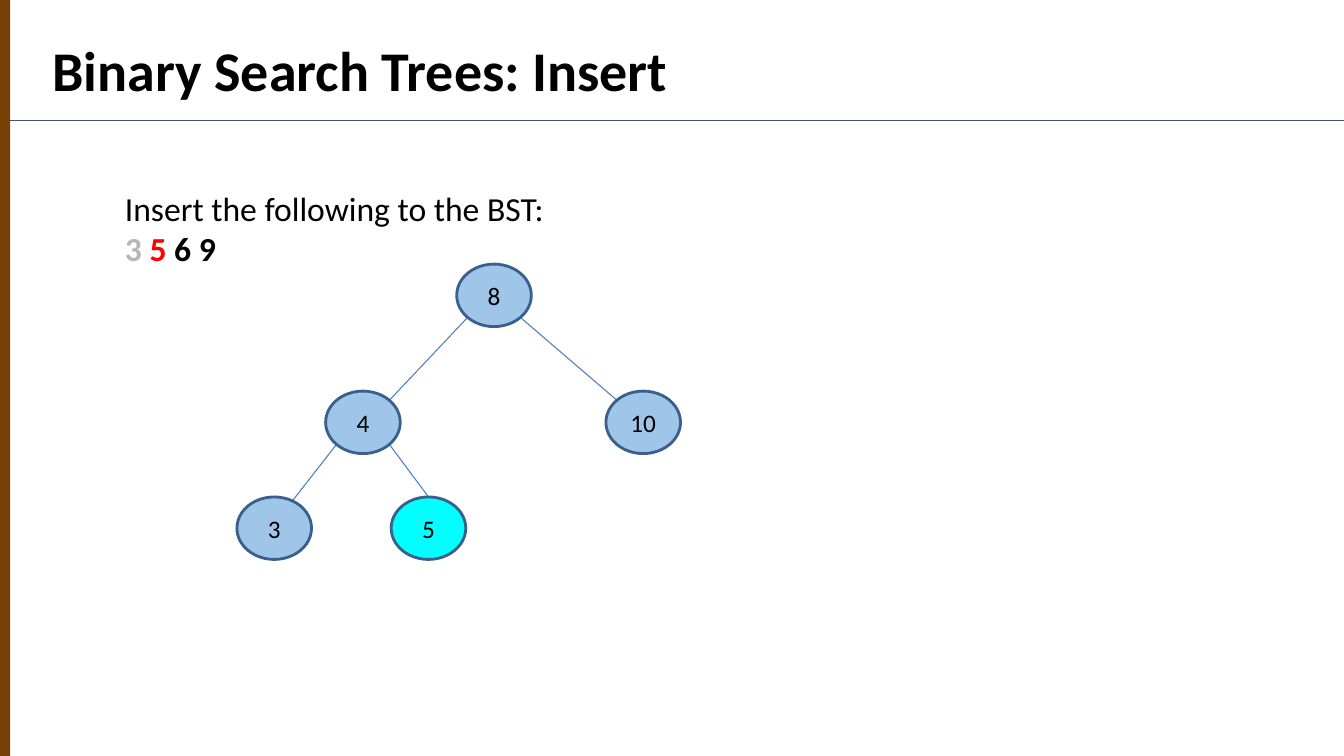
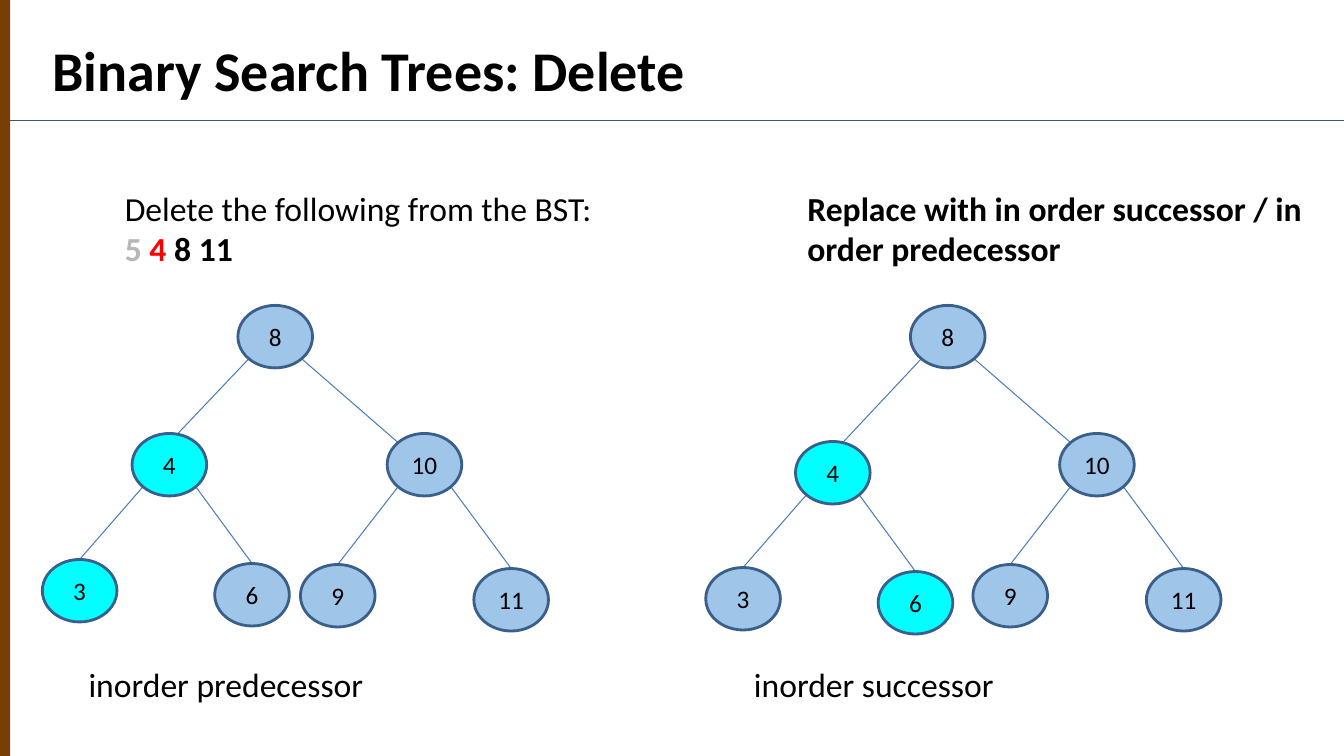
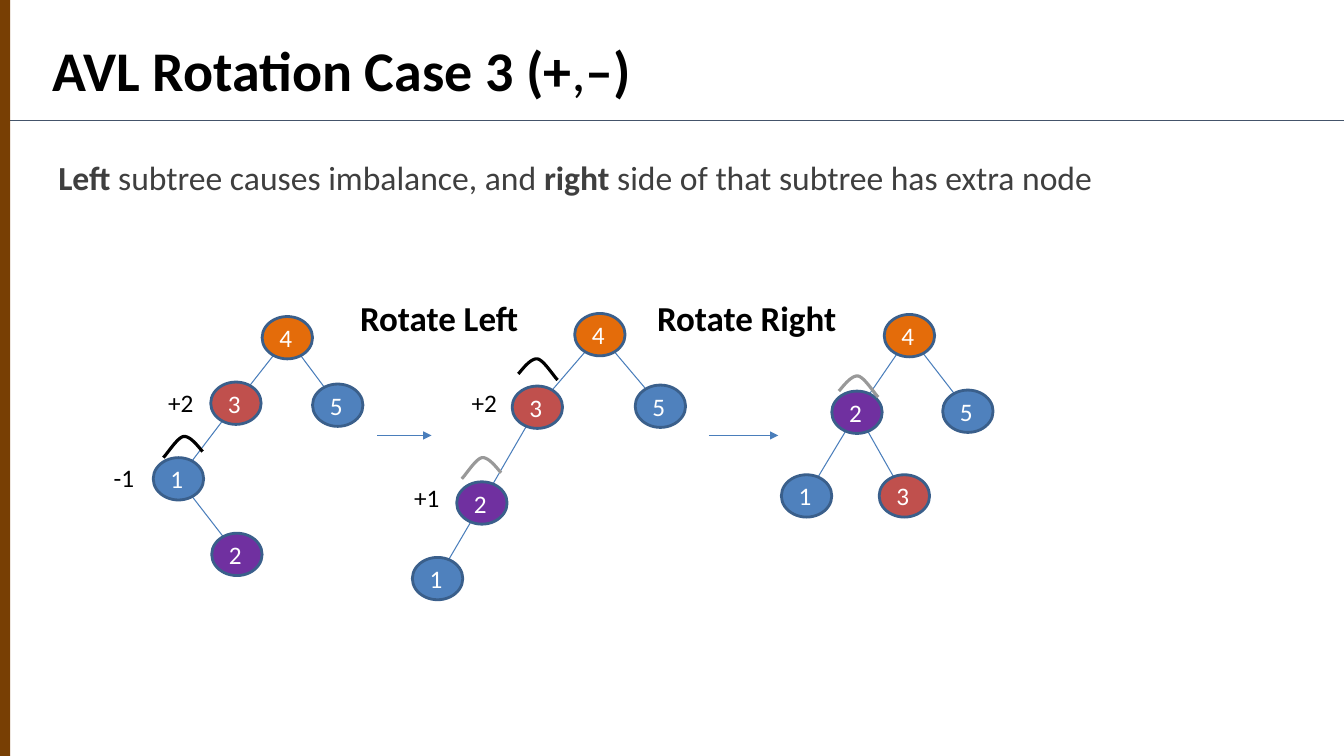
from dataclasses import dataclass

from pptx import Presentation
from pptx.dml.color import RGBColor
from pptx.enum.shapes import MSO_CONNECTOR as LINE, MSO_SHAPE as SHAPE
from pptx.enum.text import MSO_ANCHOR as ANCHOR, MSO_AUTO_SIZE as FIT, PP_ALIGN as ALIGN
from pptx.oxml.ns import qn
from pptx.util import Inches, Pt
from lxml.etree import SubElement

FONT = "Calibri"
HEX = {
    "black": "000000", "white": "FFFFFF", "dark": "3F3F3F", "gray": "999999",
    "done": "B7B7B7", "now": "FF0000", "rule": "44546A", "band": "783F04",
    "edge": "4A7EBB", "rim": "3A5F8B", "pale": "9FC5E8", "cyan": "00FFFF",
    "blue": "4F81BD", "red": "C0504D", "orange": "E46C0A", "purple": "7030A0",
}
TOP = (0, -1)
CURVES = (
    ((0, .15), (.03, .12), (.12, -.01), (.19, 0)),
    ((.19, 0), (.25, .01), (.35, .17), (.39, .21)),
)


@dataclass
class Node:
    """A tree node, its parent label and where the edge meets it."""
    x: float
    y: float
    fill: str
    up: str = ""
    end: tuple = (0, 0)


@dataclass
class Look:
    """Node size, text style and how far from the centre edges start."""
    w: float
    h: float
    ink: str
    align: ALIGN
    start: float


BST = Look(.74, .62, "black", ALIGN.CENTER, .71)
AVL = Look(.5, .42, "white", ALIGN.LEFT, 0)


def color(name):
    """Look up a colour by name."""
    return RGBColor.from_string(HEX[name])


def write(frame, runs, size, align=ALIGN.LEFT, pad=.1):
    """Fill a text frame with (text, colour, bold) runs."""
    frame.word_wrap = True
    frame.auto_size = FIT.NONE
    frame.margin_left = frame.margin_right = Inches(.1)
    frame.margin_top = frame.margin_bottom = Inches(pad)
    para = frame.paragraphs[0]
    para.alignment = align
    for text, ink, bold in runs:
        if text == "\n":
            para.add_line_break()
            continue
        run = para.add_run()
        run.text = text
        run.font.name = FONT
        run.font.size = Pt(size)
        run.font.bold = bold
        run.font.color.rgb = color(ink)
    return para


def label(slide, box, runs, size=24, **style):
    """Add a text box."""
    shape = slide.shapes.add_textbox(*map(Inches, box))
    return write(shape.text_frame, runs, size, **style)


def line(slide, start, end, ink="edge", arrow=False):
    """Add a thin straight line, with an arrowhead if asked."""
    link = slide.shapes.add_connector(LINE.STRAIGHT, *map(Inches, (*start, *end)))
    link.line.color.rgb = color(ink)
    link.line.width = Pt(.75)
    if arrow:
        SubElement(link.line._get_or_add_ln(), qn("a:tailEnd"), type="triangle")
    SubElement(link._element.spPr, qn("a:effectLst"))


def spot(node, look, shift):
    """Find a point given in half sizes from the centre of a node."""
    return (node.x + look.w / 2 * (1 + shift[0]),
            node.y + look.h / 2 * (1 + shift[1]))


def tree(slide, nodes, look):
    """Draw the edges of a tree and then its nodes."""
    for node in nodes.values():
        if node.up:
            head = nodes[node.up]
            side = look.start if node.x > head.x else -look.start
            line(slide, spot(head, look, (side, look.start)),
                 spot(node, look, node.end))
    for text, node in nodes.items():
        box = map(Inches, (node.x, node.y, look.w, look.h))
        oval = slide.shapes.add_shape(SHAPE.OVAL, *box)
        oval.shadow.inherit = False
        oval.fill.solid()
        oval.fill.fore_color.rgb = color(node.fill)
        oval.line.color.rgb = color("rim")
        oval.line.width = Pt(2)
        oval.text_frame.vertical_anchor = ANCHOR.MIDDLE
        write(oval.text_frame, [(text, look.ink, False)], 18, look.align, .05)


def arc(slide, left, top, ink, flip=False):
    """Draw a small curved cap over a node."""
    dots = []
    for a, b, c, d in CURVES:
        for step in range(13):
            t = step / 12
            x, y = ((1 - t) ** 3 * p + 3 * t * (1 - t) ** 2 * q
                    + 3 * t * t * (1 - t) * r + t ** 3 * s
                    for p, q, r, s in zip(a, b, c, d))
            dots.append((Inches(left + (.39 - x if flip else x)), Inches(top + y)))
    path = slide.shapes.build_freeform(*dots[0])
    path.add_line_segments(dots[1:], close=False)
    cap = path.convert_to_shape()
    cap.shadow.inherit = False
    cap.fill.background()
    cap.line.color.rgb = color(ink)
    cap.line.width = Pt(2.25)


def page(deck, runs):
    """Add a slide with the shared band, rule and title."""
    slide = deck.slides.add_slide(deck.slide_layouts[5])
    line(slide, (.1, 1.2), (13.33, 1.2), "rule")
    band = slide.shapes.add_shape(SHAPE.RECTANGLE, 0, 0, Inches(.1), Inches(7.5))
    band.shadow.inherit = False
    band.fill.solid()
    band.fill.fore_color.rgb = color("band")
    band.line.fill.background()
    title = slide.shapes.title
    title.left, title.top, title.width, title.height = map(
        Inches, (.42, .25, 12.91, 1.21))
    title.text_frame.vertical_anchor = ANCHOR.TOP
    write(title.text_frame, runs, 40)
    return slide


def insert(deck):
    """Build the insert slide."""
    slide = page(deck, [("Binary Search Trees: Insert", "black", True)])
    tree(slide, {
        "8": Node(4.53, 2.62, "pale"),
        "4": Node(3.23, 3.88, "pale", "8", (.71, -.71)),
        "10": Node(6.01, 3.88, "pale", "8", (-.71, -.71)),
        "3": Node(2.35, 4.93, "pale", "4", (.38, -.71)),
        "5": Node(3.88, 4.93, "cyan", "4", TOP),
    }, BST)
    label(slide, (1.14, 1.76, 7.75, .78), [
        ("Insert the following to the BST:", "black", False), ("\n", "", False),
        ("3 ", "done", True), ("5", "now", True), (" 6 9", "black", True)])


def delete(deck):
    """Build the delete slide with its two choices."""
    slide = page(deck, [("Binary Search Trees: Delete", "black", True)])
    label(slide, (1.14, 1.76, 5.1, .98), [
        ("Delete the following from the BST:", "black", False), ("\n", "", False),
        ("5 ", "done", True), ("4 ", "now", True), ("8 11", "black", True)])
    label(slide, (7.91, 1.76, 5.17, 2.06), [
        ("Replace with in order successor / in order predecessor", "black", True)])
    sides = (
        (0, 0, 0, "3", (0, -.71), .78, "inorder predecessor"),
        (6.67, 6.58, .08, "6", (.27, -.97), 7.38, "inorder successor"),
    )
    for dx, near, drop, pick, end, left, text in sides:
        fills = {key: "cyan" if key == pick else "pale" for key in "36"}
        tree(slide, {
            "8": Node(2.36 + dx, 3.03, "pale"),
            "4": Node(1.31 + near, 4.3 + drop, "cyan", "8", end),
            "10": Node(3.84 + dx, 4.3, "pale", "8", (-.71, -.71)),
            "3": Node(.42 + near, 5.55 + drop, fills["3"], "4", TOP),
            "6": Node(2.13 + near, 5.59 + drop, fills["6"], "4", TOP),
            "9": Node(2.98 + dx, 5.6, "pale", "10", TOP),
            "11": Node(4.7 + dx, 5.64, "pale", "10", TOP),
        }, BST)
        label(slide, (left, 6.49, 4.26, .6), [(text, "black", False)])


def rotate(deck):
    """Build the rotation slide with its three stages."""
    slide = page(deck, [("AVL Rotation Case 3 (+", "black", True),
                        (",", "black", False), ("–)", "black", True)])
    para = label(slide, (.48, 1.55, 11.2, .52), [
        ("Left ", "dark", True), ("subtree causes imbalance, and ", "dark", False),
        ("right ", "dark", True),
        ("side of that subtree has extra node", "dark", False)], pad=.05)
    para.line_spacing = .9
    stages = (
        {"4": Node(2.6, 3.14, "orange"), "3": Node(2.09, 3.79, "red", "4"),
         "5": Node(3.1, 3.81, "blue", "4"), "1": Node(1.52, 4.54, "blue", "3"),
         "2": Node(2.1, 5.29, "purple", "1")},
        {"4": Node(5.7, 3.11, "orange"), "3": Node(5.08, 3.83, "red", "4"),
         "5": Node(6.3, 3.82, "blue", "4"), "2": Node(4.53, 4.78, "purple", "3"),
         "1": Node(4.09, 5.53, "blue", "2")},
        {"4": Node(8.77, 3.12, "orange"), "2": Node(8.25, 3.88, "purple", "4"),
         "5": Node(9.35, 3.87, "blue", "4"), "1": Node(7.75, 4.71, "blue", "2"),
         "3": Node(8.72, 4.71, "red", "2")},
    )
    for nodes in stages:
        tree(slide, nodes, AVL)
    for left, text in ((2.84, "Rotate Left"), (5.89, "Rotate Right")):
        label(slide, (left, 2.84, 3.03, .66), [(text, "black", True)], 25,
              align=ALIGN.CENTER)
    for start, end in ((3.74, 4.28), (7.03, 7.72)):
        line(slide, (start, 4.32), (end, 4.32), arrow=True)
    for left, top, text in ((1.57, 3.79, "+2"), (1.03, 4.54, "-1"),
                            (4.58, 3.79, "+2"), (4.01, 4.74, "+1")):
        label(slide, (left, top, .76, .4), [(text, "black", False)], 18, pad=.05)
    arc(slide, 1.62, 4.33, "black", flip=True)
    arc(slide, 4.58, 4.54, "gray", flip=True)
    arc(slide, 5.14, 3.56, "black")
    arc(slide, 8.32, 3.73, "gray")


def main():
    """Build and save the deck."""
    deck = Presentation()
    deck.slide_width, deck.slide_height = Inches(13.33), Inches(7.5)
    for build in (insert, delete, rotate):
        build(deck)
    deck.save("out.pptx")


if __name__ == "__main__":
    main()
